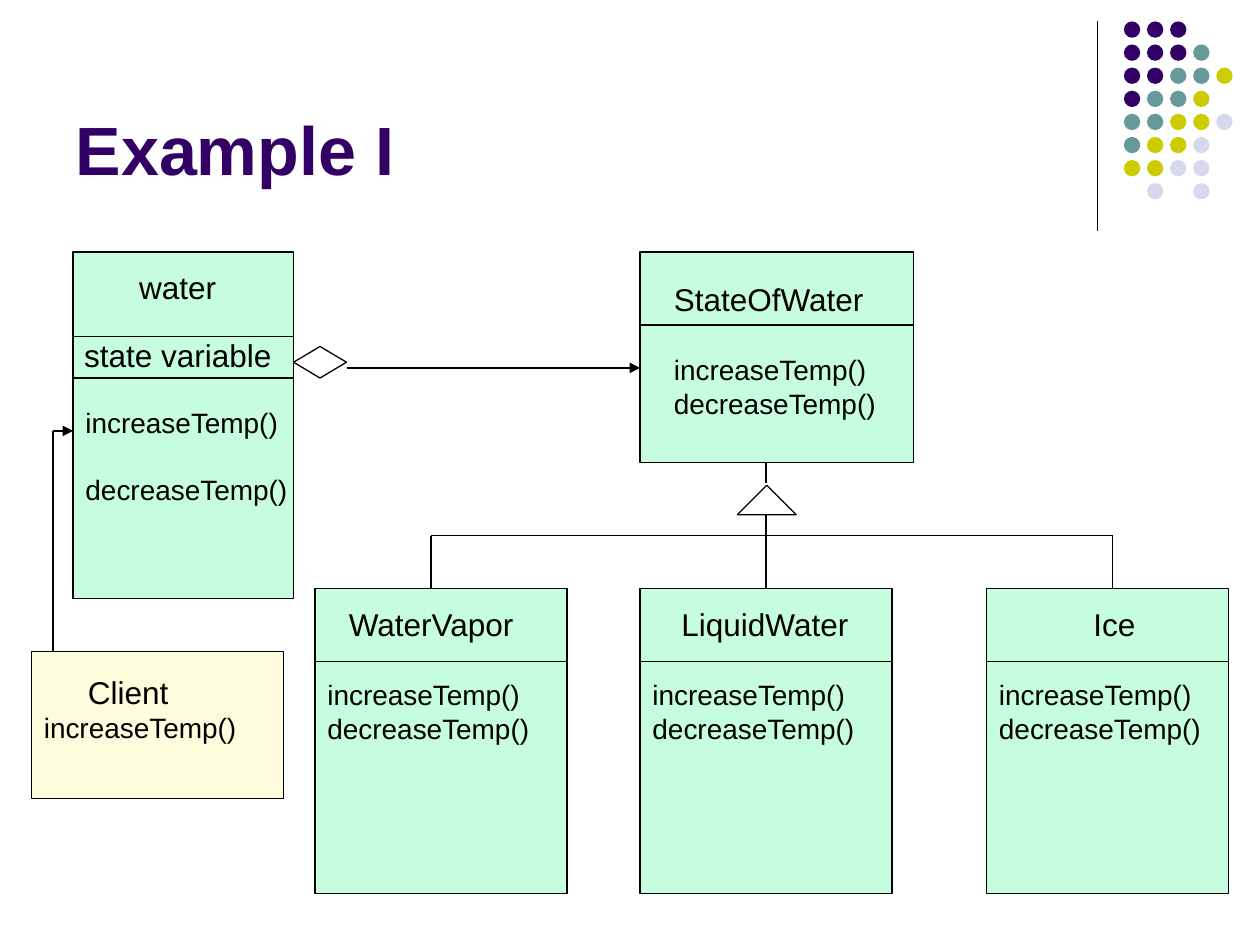
from lxml.etree import SubElement as Sub
from pptx import Presentation
from pptx.dml.color import RGBColor as RGB
from pptx.enum.shapes import MSO_CONNECTOR as Conn, MSO_SHAPE as Kind
from pptx.enum.text import MSO_ANCHOR as Anchor, PP_ALIGN as Align
from pptx.oxml.ns import qn
from pptx.util import Inches, Pt

theme = {
    "font": "Arial", "ink": "000000", "title": "330066",
    "green": "C7FDDF", "cream": "FEFCDC",
    "dots": {"p": "330066", "t": "669999", "y": "CCCC00", "l": "D8D8EC"},
    "head": 39, "name": 18, "body": 16, "line": 0.75,
}

title = "Example I"
dots = ["ppp", "pppt", "pptty", "ptty", "ttyyl", "tyyl", "yyll", " l l"]
calls = ["increaseTemp()", "decreaseTemp()"]

boxes = {
    "vapor": (2.5, 4.67, 2, 2.42, "green"),
    "ice": (7.83, 4.67, 1.92, 2.42, "green"),
    "liquid": (5.08, 4.67, 2, 2.42, "green"),
    "water": (0.58, 2, 1.75, 2.75, "green"),
    "state": (5.08, 2, 2.17, 1.67, "green"),
    "client": (0.25, 5.17, 2, 1.17, "cream"),
}
rules = [("water", 2.67), ("water", 3), ("state", 2.58),
         ("vapor", 5.25), ("liquid", 5.25), ("ice", 5.25)]

names = [
    ("StateOfWater", 5.25, 2.17, 1.8),
    ("WaterVapor", 2.67, 4.75, 1.6),
    ("LiquidWater", 5.31, 4.75, 1.61),
    ("Ice", 8.58, 4.75, 0.7),
    ("state variable", 0.57, 2.62, 1.76),
]
bodies = [(5.25, 2.75), (2.5, 5.33), (5.08, 5.33), (7.83, 5.33)]

wires = [
    (2.75, 2.92, 5.08, 2.92, True),
    (3.42, 4.25, 8.83, 4.25, False),
    (3.42, 4.67, 3.42, 4.25, False),
    (8.83, 4.67, 8.83, 4.25, False),
    (6.08, 3.83, 6.08, 3.67, False),
    (0.42, 5.17, 0.42, 3.42, False),
    (0.42, 3.42, 0.58, 3.42, True),
    (8.71, 0.17, 8.71, 1.83, False),
]

deck = Presentation()
deck.slide_width, deck.slide_height = Inches(10), Inches(7.5)
slide = deck.slides.add_slide(deck.slide_layouts[5])
shapes = slide.shapes


def tint(name):
    return RGB.from_string(theme.get(name, name))


def draw(kind, x, y, w, h, fill=None, edge=True, home=shapes):
    item = home.add_shape(kind, Inches(x), Inches(y), Inches(w), Inches(h))
    item.shadow.inherit = False
    if fill:
        item.fill.solid()
        item.fill.fore_color.rgb = tint(fill)
    else:
        item.fill.background()
    if edge:
        item.line.color.rgb = tint("ink")
        item.line.width = Pt(theme["line"])
    else:
        item.line.fill.background()
    return item


def wire(x1, y1, x2, y2, arrow=False):
    item = shapes.add_connector(Conn.STRAIGHT, *map(Inches, (x1, y1, x2, y2)))
    item.line.color.rgb = tint("ink")
    item.line.width = Pt(theme["line"])
    if arrow:
        Sub(item.line._get_or_add_ln(), qn("a:tailEnd"), type="triangle")
    Sub(item._element.spPr, qn("a:effectLst"))
    return item


def style(font, size, color="ink", bold=False):
    font.name, font.size, font.bold = theme["font"], Pt(theme[size]), bold
    font.color.rgb = tint(color)


def write(rows, x, y, w, h, align=Align.LEFT, gap=0):
    frame = shapes.add_textbox(*map(Inches, (x, y, w, h))).text_frame
    frame.word_wrap = True
    for i, (text, size, indent) in enumerate(rows):
        para = frame.add_paragraph() if i else frame.paragraphs[0]
        para.alignment = align
        if i and gap:
            para.space_before = Pt(gap)
        if indent:
            para._p.get_or_add_pPr().set("marL", str(Inches(indent)))
        run = para.add_run()
        run.text = text
        style(run.font, size)


head = shapes.title
head.left, head.top, head.width, head.height = map(Inches, (0.5, 0.13, 8.25, 1.42))
head.text_frame.vertical_anchor = Anchor.BOTTOM
para = head.text_frame.paragraphs[0]
para.alignment = Align.LEFT
run = para.add_run()
run.text = title
style(run.font, "head", "title", True)

group = shapes.add_group_shape().shapes
step = 0.55 / 3
for r, row in enumerate(dots):
    for c, key in enumerate(row):
        if key in theme["dots"]:
            draw(Kind.OVAL, 8.92 + c * step, 0.17 + r * step, 0.13, 0.13,
                 theme["dots"][key], False, group)

cards = {key: draw(Kind.RECTANGLE, *box) for key, box in boxes.items()}
for key, y in rules:
    x, w = boxes[key][0], boxes[key][2]
    wire(x, y, x + w, y)

draw(Kind.DIAMOND, 2.33, 2.75, 0.42, 0.25)
draw(Kind.RIGHT_TRIANGLE, 5.92, 3.92, 0.33, 0.33).rotation = 135
for ends in wires:
    wire(*ends)
wire(6.08, 4.67, 6.08, 4.08).begin_connect(cards["liquid"], 0)

write([("water", "name", 0)], 0.42, 2.08, 1.98, 0.4, align=Align.CENTER)
for text, x, y, w in names:
    write([(text, "name", 0)], x, y, w, 0.4)
pair = [(call, "body", 0) for call in calls]
for x, y in bodies:
    write(pair, x, y, 1.92, 0.64)
write(pair, 0.58, 3.17, 1.92, 0.9, gap=19)
write([("Client", "name", 0.35), (calls[0], "body", 0)], 0.25, 5.29, 1.93, 0.67)

deck.save("out.pptx")
